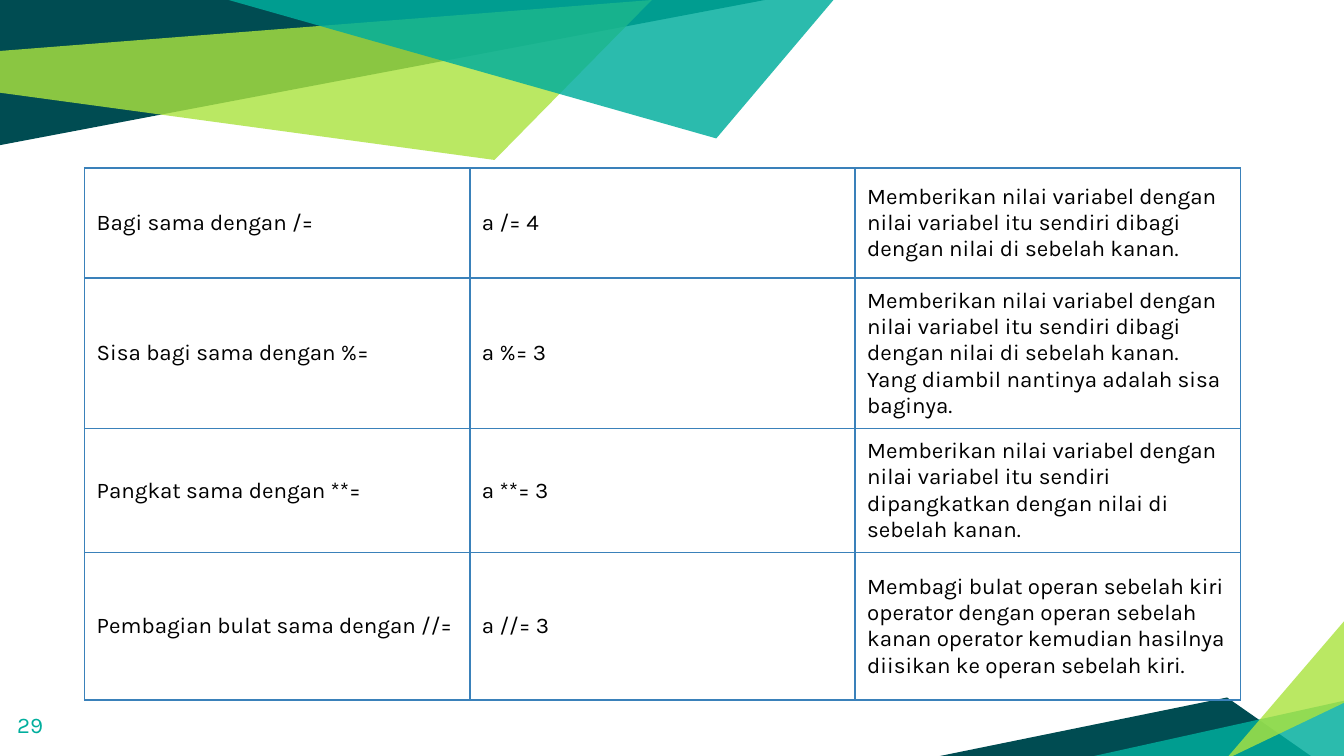
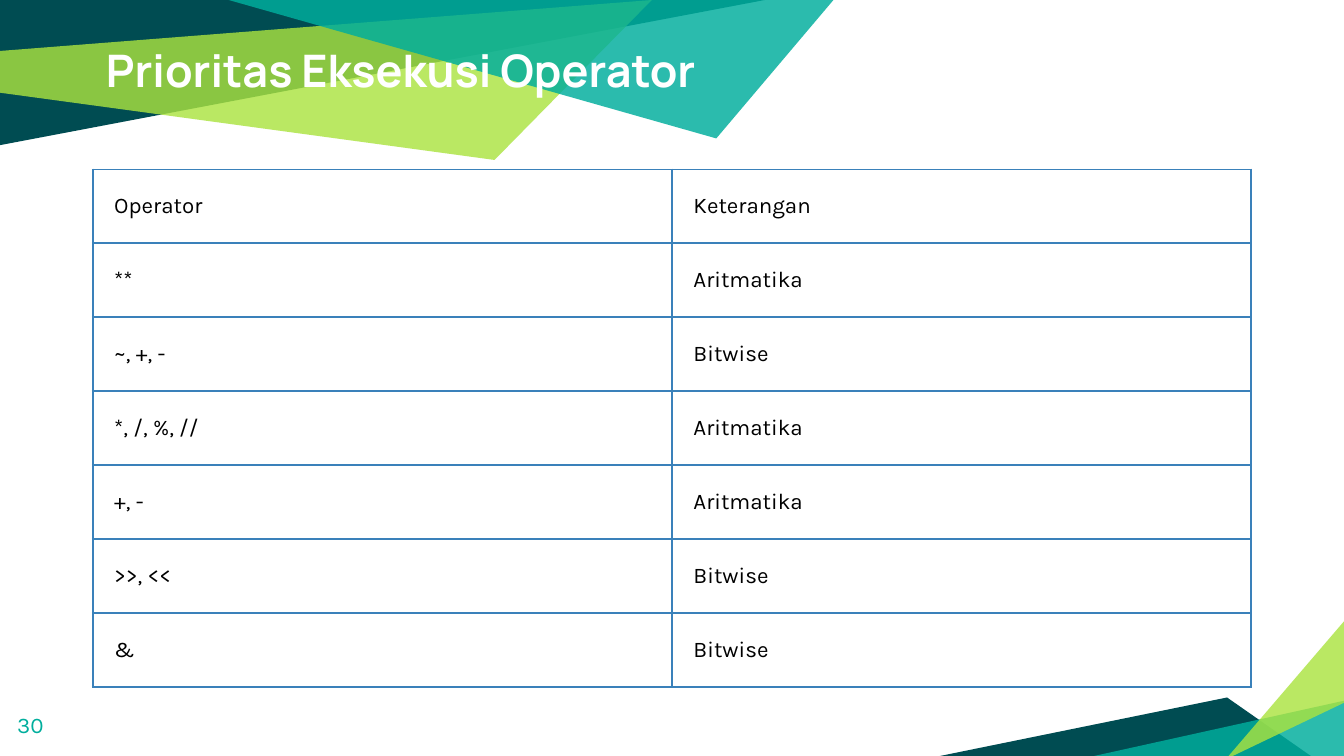
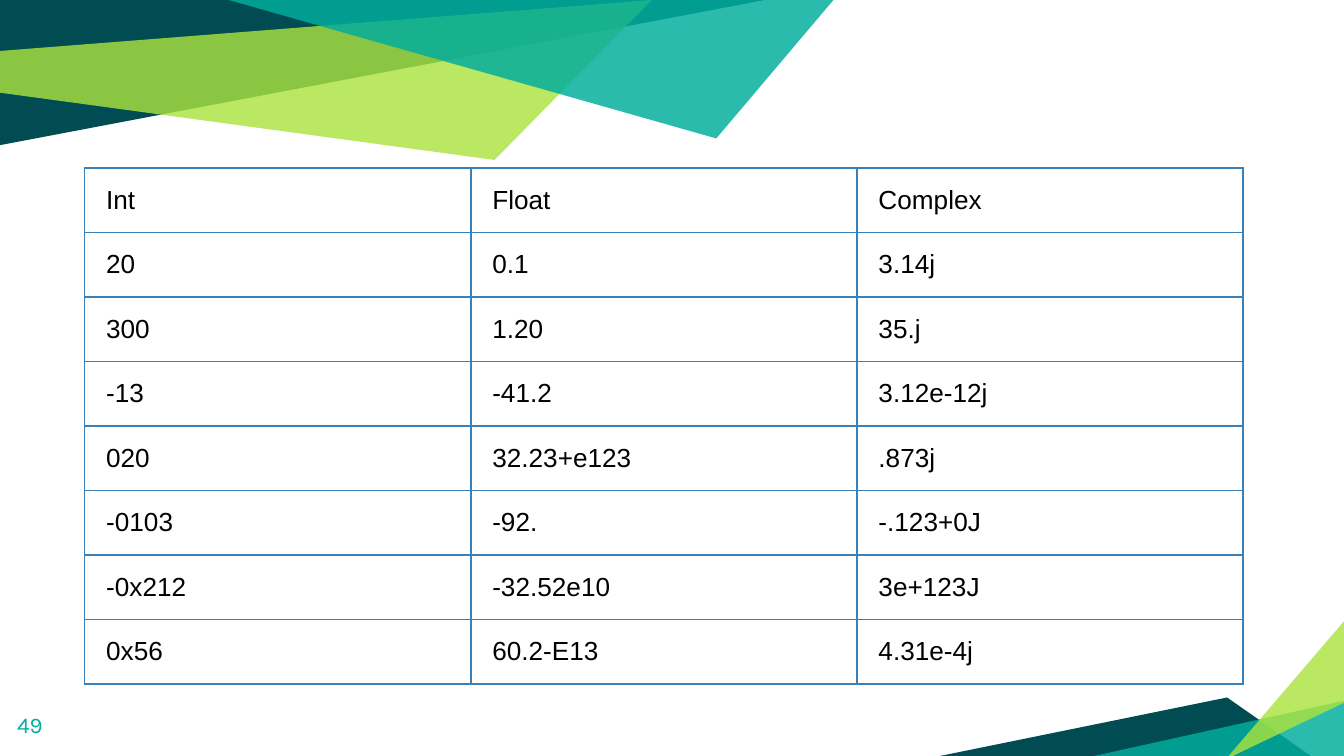
from lxml.etree import SubElement
from pptx import Presentation
from pptx.dml.color import RGBColor
from pptx.enum.text import MSO_ANCHOR, MSO_AUTO_SIZE
from pptx.oxml.ns import qn
from pptx.util import Inches, Pt

COLORS = {
    "dark": "004C52", "lime": "ABE33F", "teal": "00AE9D",
    "rule": "3A81BA", "text": "000000", "title": "FFFFFF",
}

# Bands behind every slide: colour, opacity in percent, corners in inches
BANDS = [
    ("dark", 100, [(0, 0), (0, 1.08), (5.69, 0)]),
    ("lime", 81, [(-0.01, 0.38), (0, 0.69), (3.68, 1.19), (4.85, 0)]),
    ("dark", 100, [(6.97, 5.63), (9.76, 5.63), (9.13, 5.19)]),
    ("teal", 83, [(10.02, 5.21), (10.02, 5.65), (8.03, 5.65)]),
    ("lime", 81, [(10.02, 5.22), (10.02, 4.6), (9.12, 5.65)]),
    ("teal", 83, [(1.7, 0), (5.33, 1.03), (6.21, -0.01), (6.09, 0)]),
]

ASSIGN = [
    ("Bagi sama dengan /=", "a /= 4",
     "Memberikan nilai variabel dengan nilai variabel itu sendiri dibagi "
     "dengan nilai di sebelah kanan."),
    ("Sisa bagi sama dengan %=", "a %= 3",
     "Memberikan nilai variabel dengan nilai variabel itu sendiri dibagi "
     "dengan nilai di sebelah kanan. Yang diambil nantinya adalah sisa "
     "baginya."),
    ("Pangkat sama dengan **=", "a **= 3",
     "Memberikan nilai variabel dengan nilai variabel itu sendiri "
     "dipangkatkan dengan nilai di sebelah kanan."),
    ("Pembagian bulat sama dengan //=", "a //= 3",
     "Membagi bulat operan sebelah kiri operator dengan operan sebelah "
     "kanan operator kemudian hasilnya diisikan ke operan sebelah kiri."),
]

ORDER = [
    ("Operator", "Keterangan"),
    ("**", "Aritmatika"),
    ("~, +, -", "Bitwise"),
    ("*, /, %, //", "Aritmatika"),
    ("+, -", "Aritmatika"),
    (">>, <<", "Bitwise"),
    ("&", "Bitwise"),
]

NUMBERS = [
    ("Int", "Float", "Complex"),
    ("20", "0.1", "3.14j"),
    ("300", "1.20", "35.j"),
    ("-13", "-41.2", "3.12e-12j"),
    ("020", "32.23+e123", ".873j"),
    ("-0103", "-92.", "-.123+0J"),
    ("-0x212", "-32.52e10", "3e+123J"),
    ("0x56", "60.2-E13", "4.31e-4j"),
]


def rgb(name):
    return RGBColor.from_string(COLORS[name])


def style(frame, size, font, color, bold=False):
    for para in frame.paragraphs:
        for run in para.runs:
            run.font.size = Pt(size)
            run.font.name = font
            run.font.bold = bold
            run.font.color.rgb = rgb(color)


def pad(item, x, y):
    item.margin_left = item.margin_right = Inches(x)
    item.margin_top = item.margin_bottom = Inches(y)


def add_band(slide, color, alpha, points):
    corners = [(Inches(x), Inches(y)) for x, y in points]
    build = slide.shapes.build_freeform(*corners[0], scale=1.0)
    build.add_line_segments(corners[1:], close=True)
    band = build.convert_to_shape()
    band.shadow.inherit = False
    band.fill.solid()
    band.fill.fore_color.rgb = rgb(color)
    band.line.fill.background()
    if alpha < 100:
        tint = band.fill._xPr.find(qn("a:solidFill"))[0]
        SubElement(tint, qn("a:alpha"), val=str(alpha * 1000))


def add_text(slide, text, left, top, width, height):
    box = slide.shapes.add_textbox(
        Inches(left), Inches(top), Inches(width), Inches(height))
    frame = box.text_frame
    frame.word_wrap = True
    frame.text = text
    return frame


def add_title(slide, text):
    frame = add_text(slide, text, 0.69, 0.27, 8.62, 0.5)
    frame.auto_size = MSO_AUTO_SIZE.SHAPE_TO_FIT_TEXT
    style(frame, 24, "Manrope", "title", bold=True)


def add_page(slide, number):
    frame = add_text(slide, str(number), 0.03, 5.19, 0.6, 0.43)
    pad(frame, 0.1, 0.1)
    style(frame, 12, "Karla", "teal")


def add_rules(cell):
    props = cell._tc.get_or_add_tcPr()
    for side in ("lnL", "lnR", "lnT", "lnB"):
        line = SubElement(props, qn(f"a:{side}"), w=str(Pt(1)))
        fill = SubElement(line, qn("a:solidFill"))
        SubElement(fill, qn("a:srgbClr"), val=COLORS["rule"])


def add_grid(slide, rows, left, top, width, heights,
             inset=(0.16, 0.1), size=12, font="Karla"):
    count = len(rows[0])
    table = slide.shapes.add_table(
        len(rows), count, Inches(left), Inches(top),
        Inches(width), Inches(sum(heights))).table
    table.first_row = table.horz_banding = False
    for col in table.columns:
        col.width = Inches(width / count)
    for r, (texts, height) in enumerate(zip(rows, heights)):
        table.rows[r].height = Inches(height)
        for c, text in enumerate(texts):
            cell = table.cell(r, c)
            cell.text_frame.text = text
            cell.vertical_anchor = MSO_ANCHOR.MIDDLE
            pad(cell, *inset)
            style(cell.text_frame, size, font, "text")
            add_rules(cell)
            cell.fill.background()


def add_slide(deck, number):
    slide = deck.slides.add_slide(deck.slide_layouts[6])
    for band in BANDS:
        add_band(slide, *band)
    add_page(slide, number)
    return slide


def main():
    # Widescreen, 16 to 9
    deck = Presentation()
    deck.slide_width = Inches(10)
    deck.slide_height = Inches(10 * 9 / 16)

    # Assignment operators
    slide = add_slide(deck, 29)
    add_grid(slide, ASSIGN, 0.63, 1.25, 8.6, [0.82, 1.1] * 2,
             inset=(0.09, 0.06))

    # Operator priority
    slide = add_slide(deck, 30)
    add_title(slide, "Prioritas Eksekusi Operator")
    add_grid(slide, ORDER, 0.69, 1.26, 8.62, [0.55] * len(ORDER))

    # Number types
    slide = add_slide(deck, 49)
    add_grid(slide, NUMBERS, 0.63, 1.25, 8.62, [0.48] * len(NUMBERS),
             size=14, font="Arial")

    deck.save("out.pptx")


if __name__ == "__main__":
    main()
